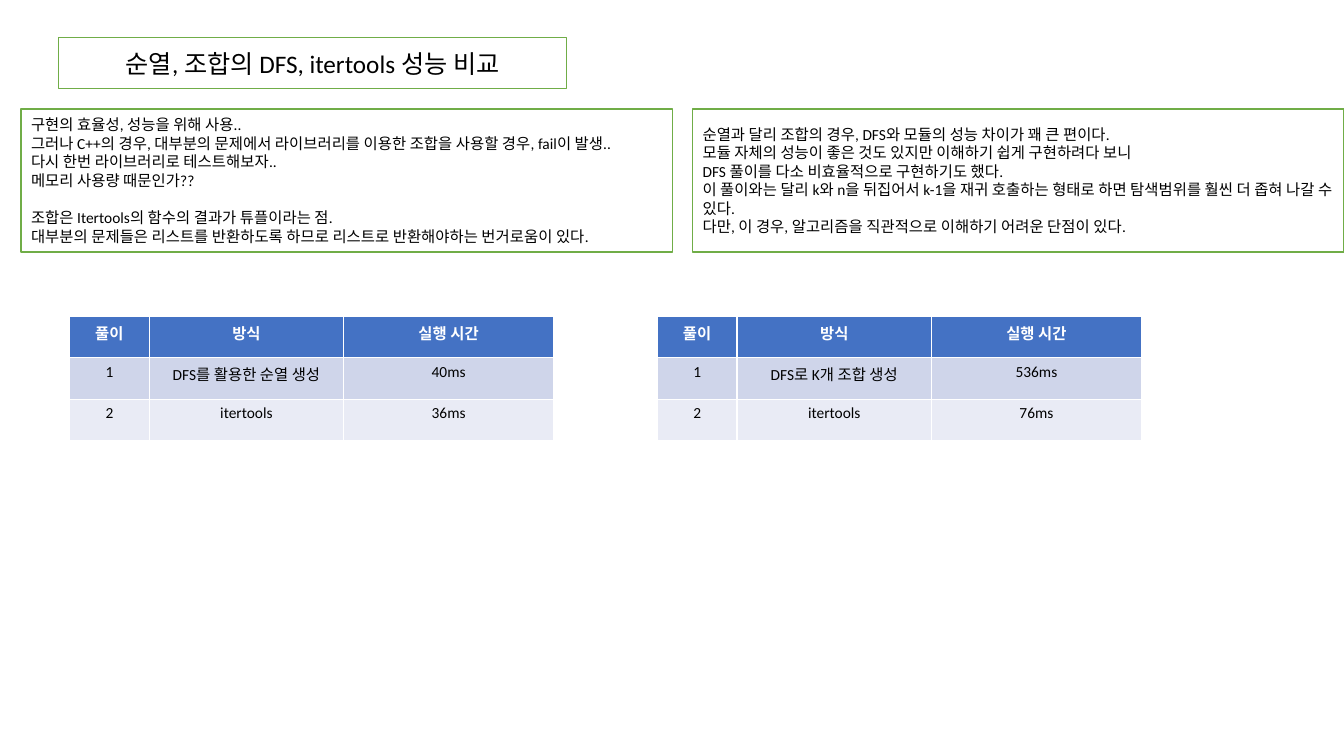
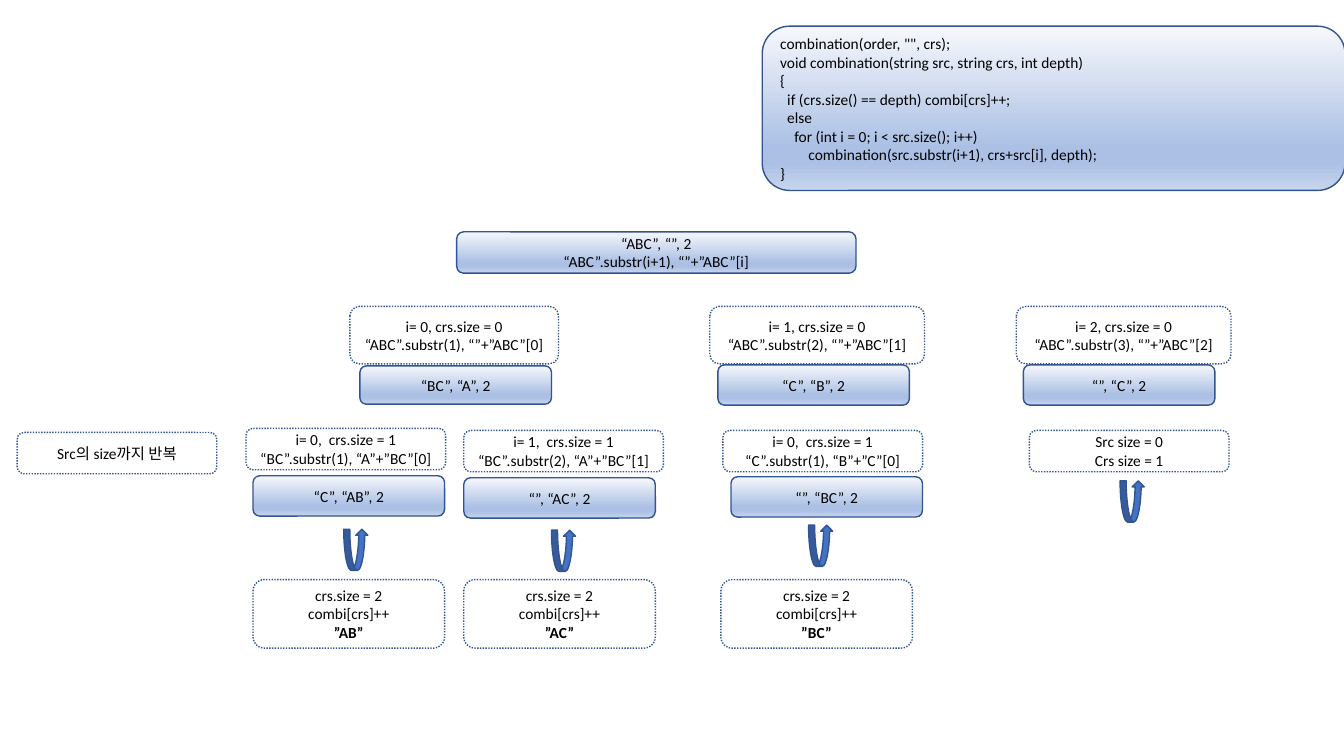
from dataclasses import dataclass
from typing import NamedTuple

from lxml.etree import SubElement
from pptx import Presentation
from pptx.dml.color import RGBColor
from pptx.enum.dml import MSO_LINE
from pptx.enum.shapes import MSO_SHAPE
from pptx.enum.text import MSO_ANCHOR, MSO_AUTO_SIZE, PP_ALIGN
from pptx.oxml.ns import qn
from pptx.util import Inches, Pt

COLORS = {
    "text": "000000", "white": "FFFFFF", "green": "70AD47", "blue": "4472C4",
    "outline": "325491", "band_dark": "CFD5EA", "band_light": "E9EBF5",
}
GRADIENT = [(0, "F6F8FC"), (74, "ABC0E4"), (83, "ABC0E4"), (100, "C7D5ED")]
FONT = "Calibri"
BODY_SIZE = 11
LINE_HEIGHT = 13.4
CODE_INDENT = 0.07


class Rect(NamedTuple):
    x: float
    y: float
    w: float
    h: float

    def lengths(self):
        return [Inches(v) for v in self]


class Size(NamedTuple):
    w: float
    h: float


@dataclass
class Note:
    x: float
    lines: list[str]
    gap_before: int | None = None


@dataclass
class Timing:
    x: float
    dfs_label: str
    dfs_time: str
    itertools_time: str


@dataclass
class Node:
    x: float
    y: float
    lines: list[str]
    size: Size
    dotted: bool = False
    bold_last: bool = False


CONDITION = Size(2.13, 0.57)
CALL = Size(1.9, 0.4)
STEP = Size(1.98, 0.41)
RESULT = Size(1.9, 0.68)
ARROW = Size(0.24, 0.41)

NOTES = [
    Note(0.21, [
        "구현의 효율성, 성능을 위해 사용..",
        "그러나 C++의 경우, 대부분의 문제에서 라이브러리를 이용한 조합을 사용할 경우, fail이 발생..",
        "다시 한번 라이브러리로 테스트해보자..",
        "메모리 사용량 때문인가??",
        "조합은 Itertools의 함수의 결과가 튜플이라는 점.",
        "대부분의 문제들은 리스트를 반환하도록 하므로 리스트로 반환해야하는 번거로움이 있다.",
    ], gap_before=4),
    Note(6.87, [
        "순열과 달리 조합의 경우, DFS와 모듈의 성능 차이가 꽤 큰 편이다.",
        "모듈 자체의 성능이 좋은 것도 있지만 이해하기 쉽게 구현하려다 보니",
        "DFS 풀이를 다소 비효율적으로 구현하기도 했다.",
        "이 풀이와는 달리 k와 n을 뒤집어서 k-1을 재귀 호출하는 형태로 하면 탐색범위를 훨씬 더 좁혀 나갈 수 있다.",
        "다만, 이 경우, 알고리즘을 직관적으로 이해하기 어려운 단점이 있다.",
    ]),
]
TIMINGS = [
    Timing(0.69, "DFS를 활용한 순열 생성", "40ms", "36ms"),
    Timing(6.52, "DFS로 K개 조합 생성", "536ms", "76ms"),
]
COLUMN_WIDTHS = [0.79, 1.93, 2.08]
ROW_HEIGHT = 0.41

# Each code line is (indent in spaces, text).
CODE = [
    (0, 'combination(order, "", crs);'),
    (0, "void combination(string src, string crs, int depth)"),
    (0, "{"),
    (2, "if (crs.size() == depth) combi[crs]++;"),
    (2, "else"),
    (4, "for (int i = 0; i < src.size(); i++)"),
    (8, "combination(src.substr(i+1), crs+src[i], depth);"),
    (0, "}"),
]

NODES = [
    Node(4.53, 2.3, ["“ABC”, “”, 2", "“ABC”.substr(i+1), “”+”ABC”[i]"], Size(3.96, 0.41)),
    Node(3.57, 3.63, ["“BC”, “A”, 2"], Size(1.9, 0.38)),
    Node(7.12, 3.62, ["“C”, “B”, 2"], CALL),
    Node(10.15, 3.62, ["“”, “C”, 2"], CALL),
    Node(2.51, 4.72, ["“C”, “AB”, 2"], CALL),
    Node(4.6, 4.74, ["“”, “AC”, 2"], CALL),
    Node(7.25, 4.73, ["“”, “BC”, 2"], CALL),
    Node(0.17, 4.29, ["Src의 size까지 반복"], STEP, dotted=True),
    Node(2.44, 4.25, ["i= 0,  crs.size = 1", "“BC”.substr(1), “A”+”BC”[0]"], STEP, dotted=True),
    Node(4.6, 4.27, ["i= 1,  crs.size = 1", "“BC”.substr(2), “A”+”BC”[1]"], STEP, dotted=True),
    Node(7.17, 4.27, ["i= 0,  crs.size = 1", "“C”.substr(1), “B”+”C”[0]"], STEP, dotted=True),
    Node(10.21, 4.27, ["Src size = 0", "Crs size = 1"], STEP, dotted=True),
]
NODES += [
    Node(x, 3.04, [f"i= {i}, crs.size = 0", f"“ABC”.substr({i + 1}), “”+”ABC”[{i}]"],
         size, dotted=True)
    for i, (x, size) in enumerate([(3.47, Size(2.07, 0.57)), (7.04, CONDITION), (10.08, CONDITION)])
]
NODES += [
    Node(x, 5.75, ["crs.size = 2", "combi[crs]++", f"”{pair}”"], RESULT, dotted=True, bold_last=True)
    for x, pair in [(2.51, "AB"), (4.6, "AC"), (7.15, "BC")]
]
RETURN_ARROWS = [(3.41, 5.25), (5.47, 5.26), (8.02, 5.21), (11.11, 4.77)]


def rgb(name: str) -> RGBColor:
    return RGBColor.from_string(COLORS[name])


def style_paragraph(p, align=PP_ALIGN.LEFT, size=BODY_SIZE, color="text", bold=False) -> None:
    p.alignment = align
    p.font.name = FONT
    p.font.size = Pt(size)
    p.font.bold = bold
    p.font.color.rgb = rgb(color)


def write_lines(shape, lines: list[str], align=PP_ALIGN.LEFT) -> list:
    tf = shape.text_frame
    tf.word_wrap = True
    tf.vertical_anchor = MSO_ANCHOR.MIDDLE
    tf.text = "\n".join(lines)
    for p in tf.paragraphs:
        style_paragraph(p, align)
    return list(tf.paragraphs)


def outline(shape, color: str) -> None:
    shape.line.color.rgb = rgb(color)
    shape.line.width = Pt(1)


def fill_solid(shape, color: str) -> None:
    shape.fill.solid()
    shape.fill.fore_color.rgb = rgb(color)


def fill_gradient(shape) -> None:
    """Shade the shape from top to bottom with the shared stops."""
    shape.fill.gradient()
    shape.fill.gradient_angle = 270
    stops = shape._element.spPr.find(qn("a:gradFill")).find(qn("a:gsLst"))
    for stop in list(stops):
        stops.remove(stop)
    for percent, color in GRADIENT:
        stop = SubElement(stops, qn("a:gs"), pos=str(percent * 1000))
        SubElement(stop, qn("a:srgbClr"), val=color)


def add_preset(s, kind, rect: Rect, line: str):
    sp = s.shapes.add_shape(kind, *rect.lengths())
    sp.shadow.inherit = False
    outline(sp, line)
    return sp


def add_title(s, text: str) -> None:
    title = s.shapes.title
    title.left, title.top, title.width, title.height = Rect(0.58, 0.37, 5.04, 0.51).lengths()
    fill_solid(title, "white")
    outline(title, "green")
    p = write_lines(title, [text])[0]
    title.text_frame.auto_size = MSO_AUTO_SIZE.NONE
    style_paragraph(p, PP_ALIGN.CENTER, size=18)


def add_note(s, note: Note) -> None:
    sp = add_preset(s, MSO_SHAPE.RECTANGLE, Rect(note.x, 1.08, 6.46, 1.42), "green")
    fill_solid(sp, "white")
    paragraphs = write_lines(sp, note.lines)
    if note.gap_before is not None:
        paragraphs[note.gap_before].space_before = Pt(LINE_HEIGHT)


def add_timing_table(s, timing: Timing) -> None:
    rows = [
        ("풀이", "방식", "실행 시간"),
        ("1", timing.dfs_label, timing.dfs_time),
        ("2", "itertools", timing.itertools_time),
    ]
    rect = Rect(timing.x, 3.14, sum(COLUMN_WIDTHS), ROW_HEIGHT * len(rows))
    table = s.shapes.add_table(len(rows), len(COLUMN_WIDTHS), *rect.lengths()).table
    for column, width in zip(table.columns, COLUMN_WIDTHS):
        column.width = Inches(width)
    fills = ["blue", "band_dark", "band_light"]
    for i, (values, fill) in enumerate(zip(rows, fills)):
        header = i == 0
        for cell, value in zip(table.rows[i].cells, values):
            cell.text = value
            fill_solid(cell, fill)
            style_paragraph(cell.text_frame.paragraphs[0], PP_ALIGN.CENTER,
                            color="white" if header else "text", bold=header)


def add_code(s) -> None:
    sp = add_preset(s, MSO_SHAPE.ROUNDED_RECTANGLE, Rect(7.56, 0.26, 5.78, 1.63), "outline")
    fill_gradient(sp)
    paragraphs = write_lines(sp, [text for _, text in CODE])
    for p, (spaces, _) in zip(paragraphs, CODE):
        p._p.get_or_add_pPr().set("marL", str(Inches(spaces / 2 * CODE_INDENT)))


def add_node(s, node: Node) -> None:
    sp = add_preset(s, MSO_SHAPE.ROUNDED_RECTANGLE, Rect(node.x, node.y, *node.size), "outline")
    if node.dotted:
        sp.fill.background()
        sp.line.dash_style = MSO_LINE.ROUND_DOT
    else:
        fill_gradient(sp)
    paragraphs = write_lines(sp, node.lines, PP_ALIGN.CENTER)
    paragraphs[-1].font.bold = node.bold_last


def add_return_arrow(s, x: float, y: float) -> None:
    sp = add_preset(s, MSO_SHAPE.CURVED_UP_ARROW, Rect(x, y, *ARROW), "outline")
    fill_solid(sp, "blue")


def build_comparison(prs) -> None:
    s = prs.slides.add_slide(prs.slide_layouts.get_by_name("Title Only"))
    add_title(s, "순열, 조합의 DFS, itertools 성능 비교")
    for note in NOTES:
        add_note(s, note)
    for timing in TIMINGS:
        add_timing_table(s, timing)


def build_call_tree(prs) -> None:
    s = prs.slides.add_slide(prs.slide_layouts.get_by_name("Blank"))
    add_code(s)
    for node in NODES:
        add_node(s, node)
    for x, y in RETURN_ARROWS:
        add_return_arrow(s, x, y)


def main() -> None:
    prs = Presentation()
    prs.slide_width, prs.slide_height = Inches(13.33), Inches(7.5)
    build_comparison(prs)
    build_call_tree(prs)
    prs.save("out.pptx")


if __name__ == "__main__":
    main()
